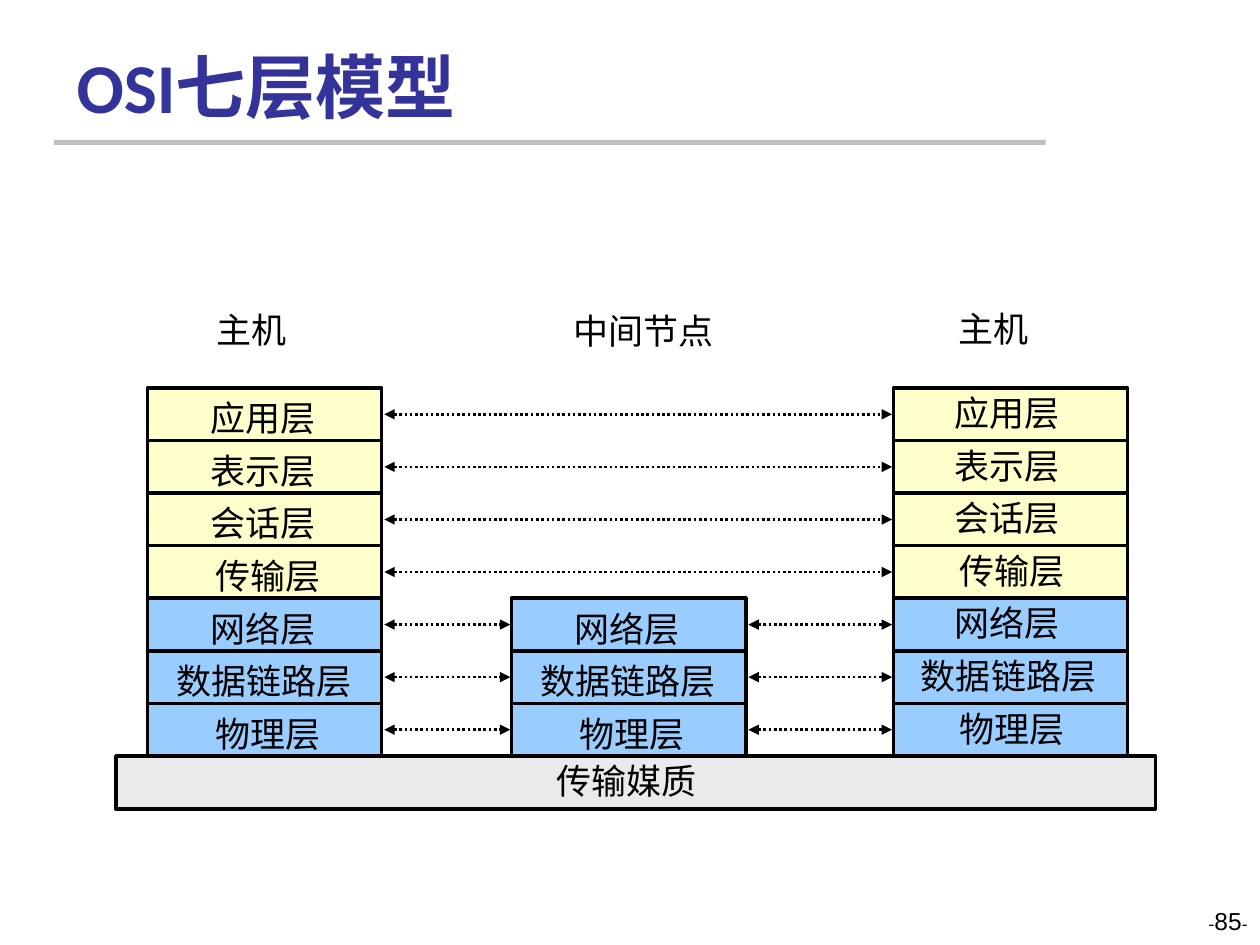
"""Build the slide on the seven layers of the OSI model."""
import pptx
import pptx.dml.color
import pptx.enum.dml
import pptx.enum.shapes
import pptx.enum.text
import pptx.oxml
import pptx.oxml.ns
import pptx.util
from pptx.util import Inches

RGBColor = pptx.dml.color.RGBColor
ALIGN = pptx.enum.text.PP_ALIGN
BLACK = RGBColor(0x00, 0x00, 0x00)
NAVY = RGBColor(0x33, 0x33, 0x99)
RULE_GRAY = RGBColor(0xBF, 0xBF, 0xBF)
MEDIUM_GRAY = RGBColor(0xEA, 0xEA, 0xEA)
YELLOW = RGBColor(0xFF, 0xFF, 0xCC)
BLUE = RGBColor(0x99, 0xCC, 0xFF)

LAYERS = [
    ("应用层", YELLOW, 0, 1.73),
    ("表示层", YELLOW, 0, 1.73),
    ("会话层", YELLOW, 0, 1.73),
    ("传输层", YELLOW, 0.08, 1.65),
    ("网络层", BLUE, 0, 1.73),
    ("数据链路层", BLUE, 0, 1.75),
    ("物理层", BLUE, 0.08, 1.65),
]
FIRST_NODE_LAYER = 4
LEFT_HOST, NODE, RIGHT_HOST = 1.17, 4.06, 7.09
STACK_TOP, STACK_BOTTOM = 3.08, 6
BOX_WIDTH = 1.86
ROW_HEIGHT = (STACK_BOTTOM - STACK_TOP) / len(LAYERS)


def add_box(slide, left, top, width, height, fill, outlined=True):
    shape = slide.shapes.add_shape(
        pptx.enum.shapes.MSO_SHAPE.RECTANGLE,
        Inches(left), Inches(top), Inches(width), Inches(height))
    shape.shadow.inherit = False
    shape.fill.solid()
    shape.fill.fore_color.rgb = fill
    if outlined:
        shape.line.color.rgb = BLACK
        shape.line.width = pptx.util.Pt(2)
    else:
        shape.line.fill.background()


def add_text(slide, left, top, width, height, runs, align=ALIGN.LEFT,
             color=BLACK, font="Arial", bold=False, wrap=True):
    shape = slide.shapes.add_textbox(
        Inches(left), Inches(top), Inches(width), Inches(height))
    shape.text_frame.word_wrap = wrap
    paragraph = shape.text_frame.paragraphs[0]
    paragraph.alignment = align
    for text, size in runs:
        run = paragraph.add_run()
        run.text = text
        run.font.size = pptx.util.Pt(size)
        run.font.name = font
        run.font.bold = bold
        run.font.color.rgb = color
    return shape


def add_arrow(slide, start, end, y):
    connector = slide.shapes.add_connector(
        pptx.enum.shapes.MSO_CONNECTOR.STRAIGHT,
        Inches(start), Inches(y), Inches(end), Inches(y))
    connector.line.color.rgb = BLACK
    connector.line.width = pptx.util.Pt(1.5)
    connector.line.dash_style = pptx.enum.dml.MSO_LINE.ROUND_DOT
    line = connector.line._get_or_add_ln()
    for tag in ("a:headEnd", "a:tailEnd"):
        end_mark = pptx.oxml.parse_xml(
            f'<{tag} {pptx.oxml.ns.nsdecls("a")} type="triangle"/>')
        line.append(end_mark)
    connector._element.spPr.append(pptx.oxml.parse_xml(
        f'<a:effectLst {pptx.oxml.ns.nsdecls("a")}/>'))


def add_stack(slide, left, first_layer, shift_x, shift_y):
    for index, (name, fill, indent, width) in enumerate(LAYERS):
        if index < first_layer:
            continue
        top = STACK_TOP + index * ROW_HEIGHT
        add_box(slide, left, top, BOX_WIDTH, ROW_HEIGHT, fill)
        add_text(slide, left + shift_x + indent, top + shift_y, width, 0.43,
                 [(name, 20)], ALIGN.CENTER)


def add_arrows(slide):
    for index in range(len(LAYERS)):
        stops = [LEFT_HOST, RIGHT_HOST]
        if index >= FIRST_NODE_LAYER:
            stops.insert(1, NODE)
        y = STACK_TOP + (index + 0.5) * ROW_HEIGHT
        for start, end in zip(stops, stops[1:]):
            add_arrow(slide, start + BOX_WIDTH + 0.02, end - 0.01, y)


def main():
    presentation = pptx.Presentation()
    presentation.slide_width = Inches(10)
    presentation.slide_height = Inches(7.5)
    slide = presentation.slides.add_slide(presentation.slide_layouts[6])

    add_box(slide, 0.43, 1.11, 7.87, 0.04, RULE_GRAY, outlined=False)
    add_text(slide, 7.67, 7.14, 2.33, 0.5,
             [("-", 10), ("85", 14), ("-", 10)], ALIGN.RIGHT)
    title = add_text(slide, 0.51, 0.28, 8.25, 0.78, [("OSI七层模型", 40)],
                     color=NAVY, font="Calibri", bold=True)
    title.text_frame.vertical_anchor = pptx.enum.text.MSO_ANCHOR.BOTTOM

    add_stack(slide, LEFT_HOST, 0, 0.05, 0.02)
    add_stack(slide, NODE, FIRST_NODE_LAYER, 0.05, 0.02)
    add_stack(slide, RIGHT_HOST, 0, 0.04, -0.02)
    add_box(slide, 0.92, STACK_BOTTOM, 8.25, 0.42, MEDIUM_GRAY)
    add_arrows(slide)

    for text, left, top, width in (
            ("主机", 1.62, 2.4, 0.76), ("中间节点", 4.45, 2.41, 1.32),
            ("主机", 7.51, 2.39, 0.76), ("传输媒质", 4.32, 5.98, 1.31)):
        add_text(slide, left, top, width, 0.43, [(text, 20)], wrap=False)

    presentation.save("out.pptx")


if __name__ == "__main__":
    main()
